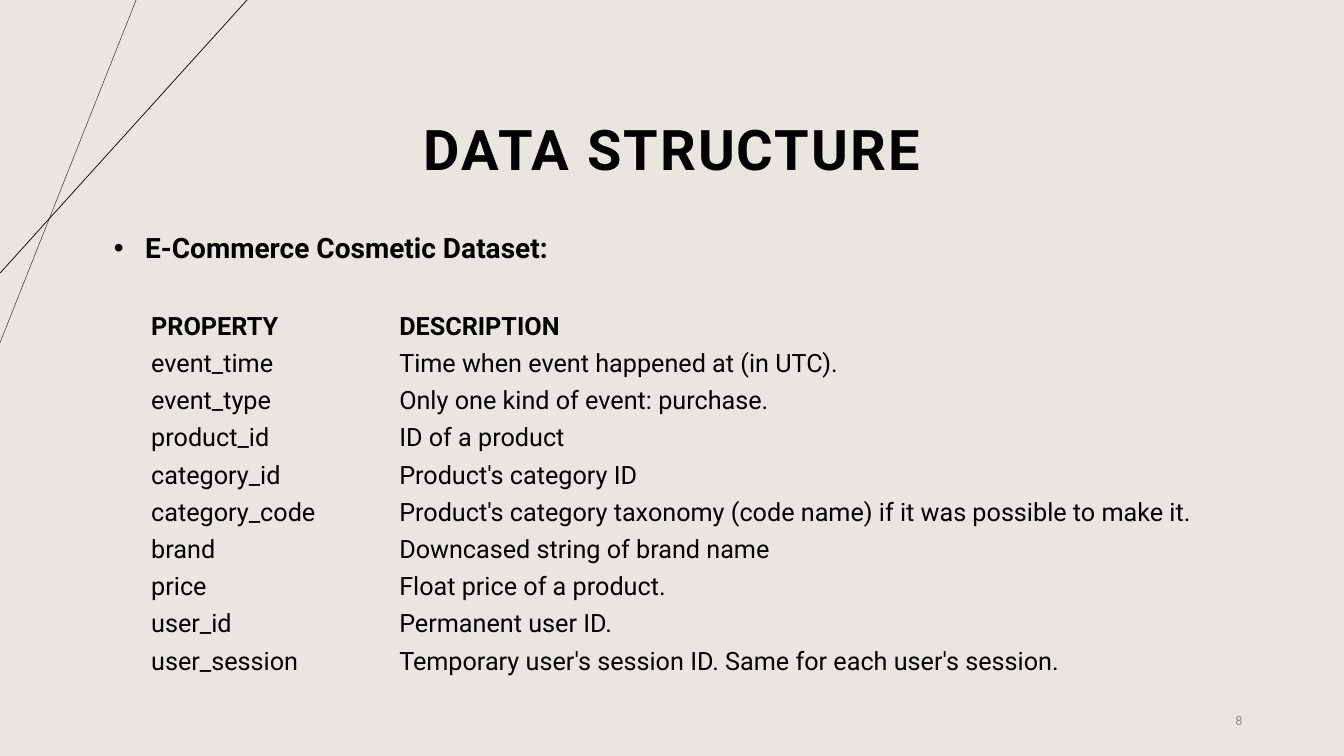
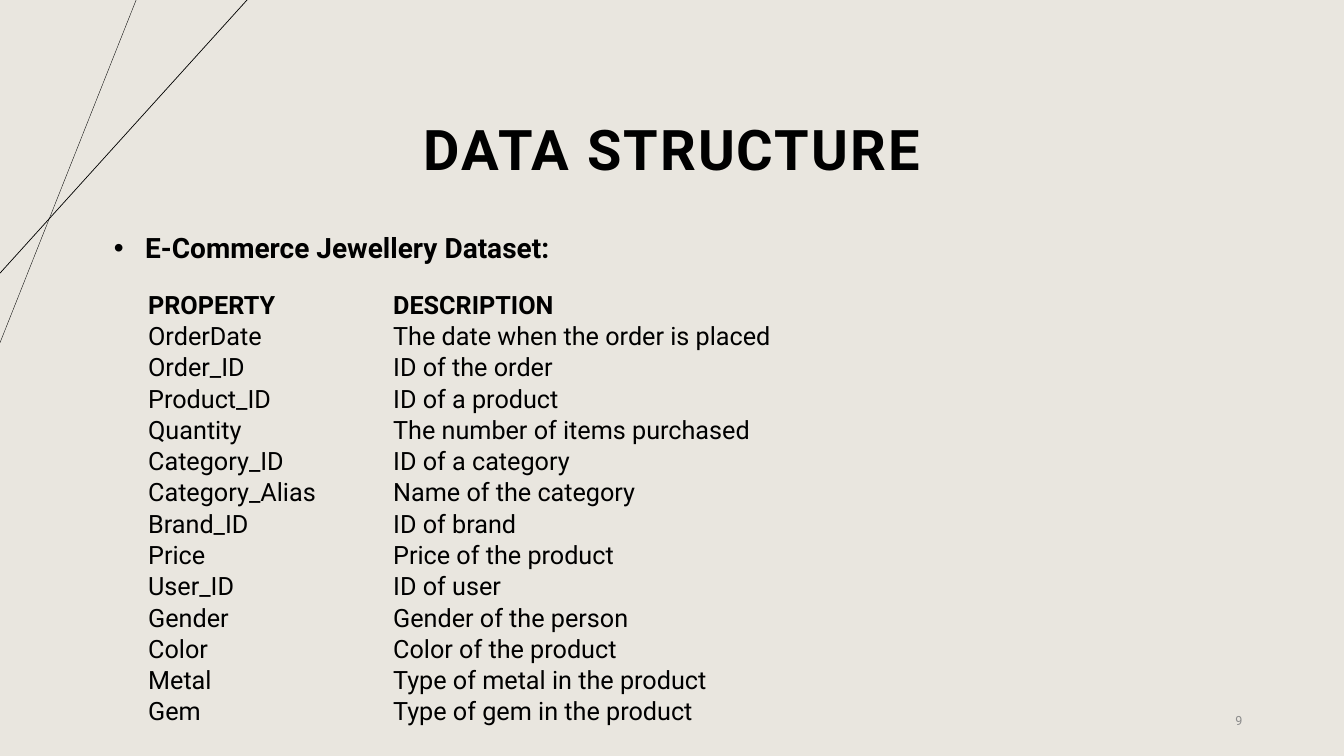
import pptx
import pptx.dml.color
import pptx.enum.shapes
import pptx.enum.text
import pptx.oxml
import pptx.oxml.ns
import pptx.util

PX = 9144  # EMU in one px, 100 px to the inch
PAGE_SIZE = (1333, 750)
FONT = "Roboto"
PAPER, INK, GREY = "E9E6DF", "000000", "8C8C8C"
NO_GRID_STYLE = "{2D5ABB26-0587-4C30-8999-92F81FD0307C}"

TITLE_BOX = (206, 79, 921, 145)
HEADING_BOX = (103, 224, 1139, 44)
NUMBER_BOX = (942, 695, 300, 40)
CORNER_LINES = [((135, 0), (0, 340), 0.25), ((245, 0), (0, 271), 0.5)]

ALIGN = pptx.enum.text.PP_ALIGN
ANCHOR = pptx.enum.text.MSO_ANCHOR
FIT = pptx.enum.text.MSO_AUTO_SIZE

HEADER = ("PROPERTY", "DESCRIPTION")
SLIDES = [
    {
        "number": "8",
        "heading": "E-Commerce Cosmetic Dataset:",
        "box": (149, 302, 1047, 369),
        "property_width": 246,
        "rows": [
            ("event_time", "Time when event happened at (in UTC)."),
            ("event_type", "Only one kind of event: purchase."),
            ("product_id", "ID of a product"),
            ("category_id", "Product's category ID"),
            ("category_code", "Product's category taxonomy (code name) "
                              "if it was possible to make it."),
            ("brand", "Downcased string of brand name"),
            ("price", "Float price of a product."),
            ("user_id", "Permanent user ID."),
            ("user_session", "Temporary user's session ID. "
                             "Same for each user's session."),
        ],
    },
    {
        "number": "9",
        "heading": "E-Commerce Jewellery Dataset:",
        "box": (146, 287, 1035, 430),
        "property_width": 243,
        "rows": [
            ("OrderDate", "The date when the order is placed"),
            ("Order_ID", "ID of the order"),
            ("Product_ID", "ID of a product"),
            ("Quantity", "The number of items purchased"),
            ("Category_ID", "ID of a category"),
            ("Category_Alias", "Name of the category"),
            ("Brand_ID", "ID of brand"),
            ("Price", "Price of the product"),
            ("User_ID", "ID of user"),
            ("Gender", "Gender of the person"),
            ("Color", "Color of the product"),
            ("Metal", "Type of metal in the product"),
            ("Gem", "Type of gem in the product"),
        ],
    },
]


def px(*lengths):
    return [pptx.util.Emu(length * PX) for length in lengths]


def paint(color_format, color):
    color_format.rgb = pptx.dml.color.RGBColor.from_string(color)


def set_format(target, values):
    for name, value in values.items():
        setattr(target, name, value)


def add_xml(parent, tag, **attributes):
    child = pptx.oxml.ns.qn(tag)
    element = parent.makeelement(child, attributes)
    parent.append(element)
    return element


def write(frame, text, size, color=INK, bold=False, **para_format):
    """Put one formatted paragraph in a text frame; return its paragraph and run."""
    para = frame.paragraphs[0]
    set_format(para, para_format)
    span = para.add_run()
    span.text = text
    set_format(span.font, {"name": FONT, "size": pptx.util.Pt(size), "bold": bold})
    paint(span.font.color, color)
    return para, span


def place(shape, box):
    set_format(shape, dict(zip(("left", "top", "width", "height"), px(*box))))


def add_corner_lines(page):
    for start, end, weight in CORNER_LINES:
        line = page.shapes.add_connector(
            pptx.enum.shapes.MSO_CONNECTOR.STRAIGHT, *px(*start, *end))
        line.line.width = pptx.util.Pt(weight)
        paint(line.line.color, INK)
        add_xml(line._element.spPr, "a:effectLst")


def add_title(page, box, text):
    title = page.shapes.title
    place(title, box)
    frame = title.text_frame
    set_format(frame, {"word_wrap": True, "auto_size": FIT.NONE,
                       "vertical_anchor": ANCHOR.MIDDLE})
    span = write(frame, text, 40, bold=True,
                 alignment=ALIGN.CENTER, line_spacing=0.9)[1]
    span.font._element.set("spc", "150")


def add_heading(page, box, text):
    body = page.placeholders[1]
    place(body, box)
    frame = body.text_frame
    set_format(frame, {"word_wrap": True, "auto_size": FIT.SHAPE_TO_FIT_TEXT,
                       "vertical_anchor": ANCHOR.TOP})
    para = write(frame, text, 20, bold=True, alignment=ALIGN.LEFT,
                 space_before=pptx.util.Pt(0))[0]
    indent = px(31)[0]
    properties = para._p.get_or_add_pPr()
    properties.set("marL", str(int(indent)))
    properties.set("indent", str(-int(indent)))
    add_xml(properties, "a:buFont", typeface="Arial")
    add_xml(properties, "a:buChar", char="•")


def add_page_number(page, box, number):
    frame = page.shapes.add_textbox(*px(*box)).text_frame
    set_format(frame, {"word_wrap": True, "vertical_anchor": ANCHOR.MIDDLE})
    write(frame, number, 9, GREY, alignment=ALIGN.RIGHT)


def fill_cell(cell, text, bold):
    edge, bottom = px(1, 0)
    set_format(cell, {"margin_left": edge, "margin_top": edge,
                      "margin_right": edge, "margin_bottom": bottom,
                      "vertical_anchor": ANCHOR.BOTTOM})
    properties = cell._tc.get_or_add_tcPr()
    for side in ("a:lnL", "a:lnR", "a:lnT", "a:lnB"):
        add_xml(add_xml(properties, side), "a:noFill")
    cell.fill.background()
    write(cell.text_frame, text, 18, bold=bold)


def add_property_table(page, box, property_width, rows):
    table = page.shapes.add_table(len(rows), 2, *px(*box)).table
    table.horz_banding = False
    table._tbl.tblPr.find(pptx.oxml.ns.qn("a:tableStyleId")).text = NO_GRID_STYLE
    widths = px(property_width, box[2] - property_width)
    for column, width in zip(table.columns, widths):
        column.width = width
    for row_index, row in enumerate(rows):
        for column_index, text in enumerate(row):
            fill_cell(table.cell(row_index, column_index), text, row_index == 0)


def add_data_slide(deck, content):
    page = deck.slides.add_slide(deck.slide_layouts[1])
    add_corner_lines(page)
    add_title(page, TITLE_BOX, "DATA STRUCTURE")
    add_page_number(page, NUMBER_BOX, content["number"])
    add_heading(page, HEADING_BOX, content["heading"])
    add_property_table(page, content["box"], content["property_width"],
                       [HEADER] + content["rows"])


def main():
    deck = pptx.Presentation()
    deck.slide_width, deck.slide_height = px(*PAGE_SIZE)
    backdrop = deck.slide_master.background.fill
    backdrop.solid()
    paint(backdrop.fore_color, PAPER)
    for content in SLIDES:
        add_data_slide(deck, content)
    deck.save("out.pptx")


if __name__ == "__main__":
    main()
